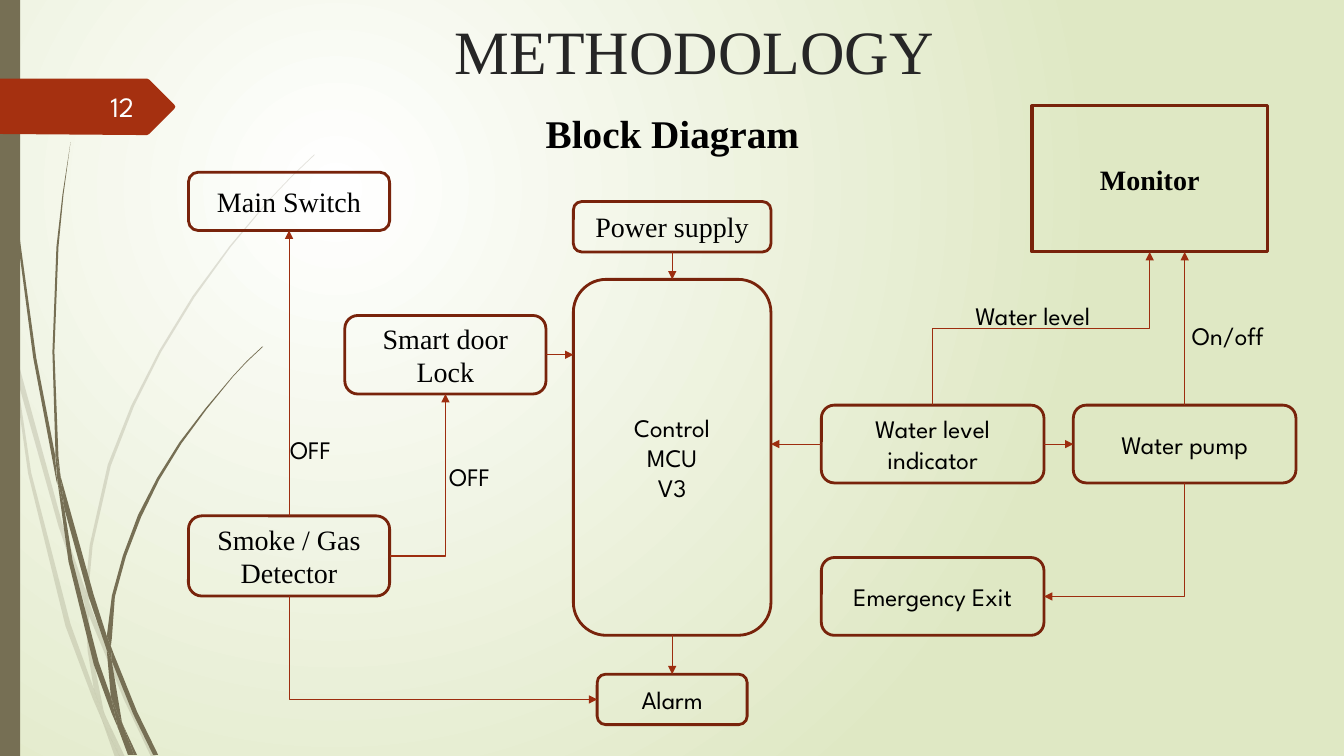
from lxml import etree
from pptx import Presentation
from pptx.dml.color import RGBColor
from pptx.enum.shapes import MSO_CONNECTOR, MSO_SHAPE
from pptx.enum.text import MSO_ANCHOR, MSO_AUTO_SIZE, PP_ALIGN
from pptx.oxml.ns import qn
from pptx.util import Cm, Pt

LEFT, CENTER, RIGHT = PP_ALIGN.LEFT, PP_ALIGN.CENTER, PP_ALIGN.RIGHT
TOP_ANCHOR, MIDDLE = MSO_ANCHOR.TOP, MSO_ANCHOR.MIDDLE
NO_AUTOSIZE = MSO_AUTO_SIZE.NONE
RECTANGLE, ROUNDED = MSO_SHAPE.RECTANGLE, MSO_SHAPE.ROUNDED_RECTANGLE
STRAIGHT, ELBOW = MSO_CONNECTOR.STRAIGHT, MSO_CONNECTOR.ELBOW
TOP_SIDE, LEFT_SIDE, BOTTOM_SIDE, RIGHT_SIDE = range(4)

WHITE = RGBColor(0xFF, 0xFF, 0xFF)
PALE_GREEN = RGBColor(0xDF, 0xE8, 0xC4)
OLIVE = RGBColor(0x76, 0x6F, 0x54)
RUST = RGBColor(0xA5, 0x30, 0x10)
ARROW_RED = RGBColor(0x9D, 0x2D, 0x0F)
BORDER_RED = RGBColor(0x78, 0x23, 0x0B)
CHARCOAL = RGBColor(0x26, 0x26, 0x26)
BLACK = RGBColor(0, 0, 0)
NUMBER_WHITE = RGBColor(0xFE, 0xFF, 0xFF)

SERIF, SANS = "Times New Roman", "League Spartan"
GRASS_UNIT = Cm(0.0254)

FAINT_GRASS = [
    [(11, 350), (9, 322), (0, 282), (0, 299), (10, 344)],
    [(58, 522), (84, 599), (85, 586), (62, 520), (14, 345), (17, 376)],
    [(92, 607), (88, 596), (88, 610), (123, 694), (150, 751), (155, 751), (127, 692)],
    [(119, 751), (124, 751), (105, 711)],
    [(93, 683), (70, 619), (31, 469), (17, 376), (11, 350), (28, 470), (65, 621),
     (92, 693), (101, 714), (99, 707)],
    [(84, 599), (87, 646), (93, 683), (96, 692), (105, 711), (103, 706), (91, 646),
     (88, 610), (88, 608)],
    [(88, 584), (92, 541), (110, 462), (133, 403), (160, 349), (193, 295), (229, 245),
     (268, 198), (290, 175), (312, 154), (312, 153), (289, 175), (268, 197), (228, 244),
     (191, 294), (158, 348), (130, 403), (107, 461), (89, 541), (85, 584), (85, 586),
     (88, 596)],
    [(101, 714), (114, 751), (119, 751)],
    [(88, 608), (88, 610), (88, 596), (85, 586), (84, 599)],
    [(96, 692), (93, 683), (99, 707), (101, 714), (119, 751), (105, 711)],
]
DARK_GRASS = [
    [(7, 110), (17, 233), (33, 355), (56, 477), (57, 481), (55, 457), (55, 453),
     (36, 355), (19, 232), (8, 109), (5, 48), (4, 0), (3, 0), (4, 48)],
    [(88, 592), (106, 645), (106, 633), (106, 631), (93, 590), (60, 472), (64, 505)],
    [(113, 649), (110, 641), (111, 656), (132, 708), (152, 749), (157, 749), (136, 706)],
    [(110, 691), (98, 657), (72, 556), (64, 505), (57, 477), (68, 557), (93, 659),
     (111, 708), (117, 722), (116, 717)],
    [(60, 472), (58, 453), (54, 349), (58, 245), (63, 193), (70, 141), (62, 193),
     (56, 245), (52, 349), (55, 449)],
    [(133, 749), (136, 749), (122, 719)],
    [(57, 477), (64, 505), (60, 472), (55, 449), (55, 453)],
    [(111, 633), (114, 592), (125, 552), (140, 513), (158, 476), (180, 440), (205, 406),
     (231, 374), (245, 359), (261, 344), (260, 344), (245, 358), (231, 373), (204, 405),
     (178, 439), (156, 474), (137, 511), (122, 551), (111, 591), (106, 631), (110, 641)],
    [(117, 722), (127, 749), (131, 749)],
    [(106, 645), (110, 691), (116, 706), (122, 719), (121, 716), (111, 656), (109, 651)],
    [(106, 645), (109, 651), (111, 656), (110, 641), (106, 631), (106, 633)],
    [(116, 706), (110, 691), (116, 717), (117, 722), (130, 749), (133, 749), (122, 719)],
]
BANNER = [(0, 78), (146, 78), (148, 79), (173, 104), (174, 106), (173, 108),
          (148, 133), (146, 134), (136, 134), (0, 133)]


def paint_background(slide):
    """Fill the slide with a circular gradient from white to pale green."""
    fill = slide.background.fill
    fill.gradient()
    for stop, color, position in zip(fill.gradient_stops, (WHITE, PALE_GREEN), (0, 1)):
        stop.color.rgb = color
        stop.position = position
    gradient = next(slide.element.iter(qn("a:gradFill")))
    gradient.remove(gradient.find(qn("a:lin")))
    circle = etree.SubElement(gradient, qn("a:path"), {"path": "circle"})
    etree.SubElement(circle, qn("a:fillToRect"),
                     l="50000", t="50000", r="100000", b="100000")


def fill_plain(shape, color):
    """Give a shape a solid fill without outline or shadow."""
    shape.shadow.inherit = False
    shape.fill.solid()
    shape.fill.fore_color.rgb = color
    shape.line.fill.background()


def add_outline(slide, points, color, opacity=100):
    """Draw a filled polygon through the given points."""
    builder = slide.shapes.build_freeform(*points[0], scale=GRASS_UNIT)
    builder.add_line_segments(points[1:], close=True)
    polygon = builder.convert_to_shape()
    fill_plain(polygon, color)
    if opacity < 100:
        tint = next(polygon._element.spPr.iter(qn("a:srgbClr")))
        etree.SubElement(tint, qn("a:alpha"), val=str(opacity * 1000))


def write(shape, lines, size, font, color=BLACK, bold=False, align=CENTER, anchor=MIDDLE):
    """Write one paragraph for each line into a shape."""
    frame = shape.text_frame
    frame.word_wrap = True
    frame.auto_size = NO_AUTOSIZE
    frame.vertical_anchor = anchor
    for index, line in enumerate(lines):
        paragraph = frame.add_paragraph() if index else frame.paragraphs[0]
        paragraph.alignment = align
        run = paragraph.add_run()
        run.text = line
        run.font.size = Pt(size)
        run.font.name = font
        run.font.bold = bold
        run.font.color.rgb = color


def add_label(slide, place, text, size=18, font=SANS, **style):
    """Add a text box at left, top, width and height in centimetres."""
    write(slide.shapes.add_textbox(*map(Cm, place)), [text], size, font, **style)


def add_block(slide, place, lines, size=18, font=SANS, outline=ROUNDED, border=2, bold=False):
    """Add an unfilled block of the diagram and return it."""
    block = slide.shapes.add_shape(outline, *map(Cm, place))
    block.shadow.inherit = False
    block.fill.background()
    block.line.color.rgb = BORDER_RED
    block.line.width = Pt(border)
    write(block, lines, size, font, bold=bold)
    return block


def style_arrow(link):
    """Colour a connector and give it an arrowhead and no shadow."""
    link.line.color.rgb = ARROW_RED
    link.line.width = Pt(0.75)
    properties = link._element.spPr
    etree.SubElement(properties.find(qn("a:ln")), qn("a:tailEnd"), type="triangle")
    etree.SubElement(properties, qn("a:effectLst"))


def add_arrow(slide, source, source_side, target, target_side, kind=STRAIGHT):
    """Join two blocks with an arrow and return it."""
    link = slide.shapes.add_connector(kind, 0, 0, 0, 0)
    link.begin_connect(source, source_side)
    link.end_connect(target, target_side)
    style_arrow(link)
    return link


def add_arrow_to(slide, source, side, x, y):
    """Draw a straight arrow from a block to a point."""
    link = slide.shapes.add_connector(STRAIGHT, 0, 0, x, y)
    link.begin_connect(source, side)
    link.end_x, link.end_y = x, y
    style_arrow(link)


def add_elbow(slide, source, source_side, target, target_side, turn, flip=False, bends=1):
    """Join two blocks with a right-angled arrow turned by some degrees."""
    link = add_arrow(slide, source, source_side, target, target_side, ELBOW)
    x, y, width, height = link.left, link.top, link.width, link.height
    if turn % 180:
        x, y = x + (width - height) // 2, y + (height - width) // 2
        width, height = height, width
    link.left, link.top, link.width, link.height = x, y, width, height
    properties = link._element.spPr
    frame = properties.find(qn("a:xfrm"))
    frame.set("rot", str(turn * 60000))
    frame.set("flipH", str(int(flip)))
    frame.set("flipV", "0")
    properties.find(qn("a:prstGeom")).set("prst", f"bentConnector{bends + 1}")


def add_scenery(slide):
    """Draw the grass, the side bar and the banner of the page number."""
    for blade in FAINT_GRASS:
        add_outline(slide, blade, OLIVE, 20)
    for blade in DARK_GRASS:
        add_outline(slide, blade, OLIVE)
    side_bar = slide.shapes.add_shape(RECTANGLE, 0, 0, Cm(0.51), Cm(19.05))
    fill_plain(side_bar, OLIVE)
    add_outline(slide, BANNER, RUST)
    add_label(slide, (1.47, 2.18, 2.16, 1.02), "12", 20, color=NUMBER_WHITE, align=RIGHT)


def add_diagram(slide):
    """Add the blocks, the arrows between them and their labels."""
    power = add_block(slide, (14.45, 5.08, 4.98, 1.27), ["Power supply"], 20, SERIF)
    controller = add_block(slide, (14.45, 7.04, 4.98, 8.97), ["Control", "MCU", "V3"])
    alarm = add_block(slide, (15.05, 16.99, 3.78, 1.27), ["Alarm"])
    emergency = add_block(slide, (20.7, 14.05, 5.61, 1.96), ["Emergency Exit"])
    indicator = add_block(slide, (20.7, 10.21, 5.61, 1.96), ["Water level indicator"])
    pump = add_block(slide, (27.05, 10.21, 5.61, 1.96), ["Water pump"])
    detector = add_block(slide, (4.75, 13, 5.07, 2.02), ["Smoke / Gas Detector"], 20, SERIF)
    switch = add_block(slide, (4.75, 4.34, 5.07, 1.47), ["Main Switch"], 20, SERIF)
    door = add_block(slide, (8.69, 7.95, 5.07, 1.98), ["Smart door Lock"], 20, SERIF)
    monitor = add_block(slide, (26.01, 2.67, 5.93, 3.68), ["Monitor"], 20, SERIF,
                        RECTANGLE, 2.25, True)

    add_arrow(slide, power, BOTTOM_SIDE, controller, TOP_SIDE)
    add_arrow(slide, controller, BOTTOM_SIDE, alarm, TOP_SIDE)
    add_arrow(slide, indicator, RIGHT_SIDE, pump, LEFT_SIDE)
    add_arrow(slide, detector, TOP_SIDE, switch, BOTTOM_SIDE)
    indicator_middle = indicator.top + indicator.height // 2
    add_arrow_to(slide, indicator, LEFT_SIDE, controller.left + controller.width,
                 indicator_middle)
    add_arrow_to(slide, door, RIGHT_SIDE, controller.left, door.top + door.height // 2)
    add_arrow_to(slide, pump, TOP_SIDE, pump.left + pump.width // 2,
                 monitor.top + monitor.height)
    add_elbow(slide, pump, BOTTOM_SIDE, emergency, RIGHT_SIDE, 90)
    add_elbow(slide, detector, BOTTOM_SIDE, alarm, LEFT_SIDE, 270, flip=True)
    add_elbow(slide, detector, RIGHT_SIDE, door, BOTTOM_SIDE, 180, flip=True)
    add_elbow(slide, indicator, TOP_SIDE, monitor, BOTTOM_SIDE, 270, bends=2)

    for place, text in (((11.07, 11.51, 1.7, 1.02), "OFF"),
                        ((7.06, 10.82, 1.7, 1.02), "OFF"),
                        ((24.33, 7.44, 4.01, 1.02), "Water level"),
                        ((29.79, 7.95, 2.57, 1.02), "On/off")):
        add_label(slide, place, text, align=LEFT, anchor=TOP_ANCHOR)


def main():
    """Build the methodology slide and save it."""
    deck = Presentation()
    deck.slide_width, deck.slide_height = Cm(33.87), Cm(19.05)
    slide = deck.slides.add_slide(deck.slide_layouts[5])
    paint_background(slide)
    add_scenery(slide)
    title = slide.shapes.title
    title.left, title.top, title.width, title.height = map(Cm, (5.16, 0.2, 24.69, 2.13))
    write(title, ["METHODOLOGY"], 44, SERIF, CHARCOAL, anchor=TOP_ANCHOR)
    add_label(slide, (13.26, 2.67, 7.37, 1.37), "Block Diagram", 28, SERIF, bold=True)
    add_diagram(slide)
    deck.save("out.pptx")


if __name__ == "__main__":
    main()
